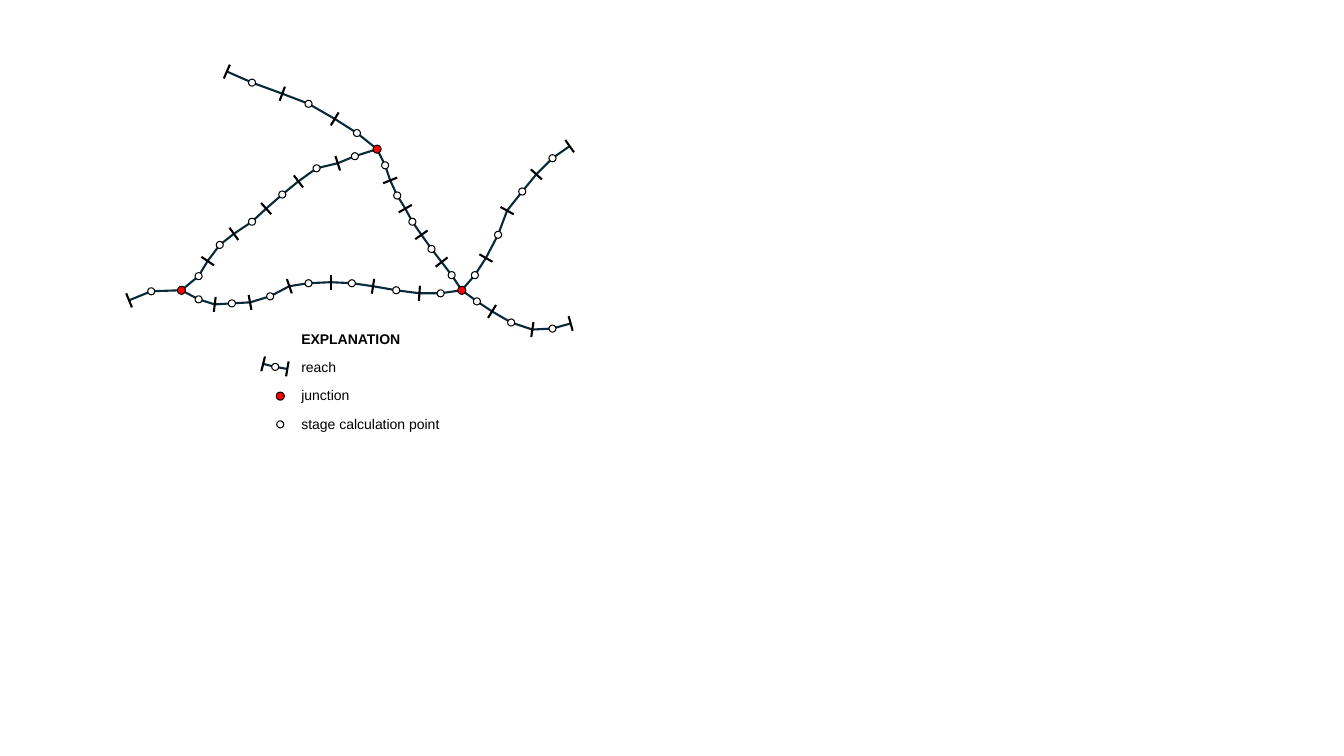
from math import hypot

from pptx import Presentation
from pptx.dml.color import RGBColor
from pptx.enum.shapes import MSO_CONNECTOR, MSO_SHAPE
from pptx.enum.text import MSO_AUTO_SIZE
from pptx.oxml.ns import qn
from pptx.util import Inches, Pt
from lxml.etree import SubElement

BLACK = RGBColor(0x00, 0x00, 0x00)
WHITE = RGBColor(0xFF, 0xFF, 0xFF)
RED = RGBColor(0xFF, 0x00, 0x00)
RIVER_BLUE = RGBColor(0x09, 0x2A, 0x39)

# Every place and size below counts columns and rows of this grid.
GRID = Inches(0.01)
TICK_LENGTH = 15
JUNCTION_SIZE, POINT_SIZE = 8, 7

# Legend rows are equally spaced; each symbol is centred on its row.
LEGEND_LEFT, LEGEND_TOP, ROW_HEIGHT = 289, 323, 28
LEGEND_WIDTHS = {"EXPLANATION": 121, "reach": 55, "junction": 68,
                 "stage calculation point": 158}
SYMBOL_X = 278
reach_y, junction_y, point_y = (
    LEGEND_TOP + ROW_HEIGHT * row + ROW_HEIGHT // 2 for row in (1, 2, 3))

WEST, NORTH, EAST = (180, 288), (374, 148), (458, 288)
JUNCTIONS = [WEST, NORTH, EAST]

# A river runs through its stations, which alternate:
# reach end, stage point, reach end, stage point, ..., reach end.
# Where a reach ends at a junction, the junction replaces the tick.
RIVERS = {
    "south": [
        (128, 298), (150, 289), WEST,
        (197, 297), (213, 302), (230, 301), (248, 300), (268, 294),
        (287, 284), (306, 281), (328, 280), (349, 281), (370, 284),
        (393, 288), (416, 291), (437, 291), EAST,
        (471, 273), (482, 256), (494, 233), (503, 209), (518, 190),
        (532, 173), (548, 157), (565, 145)],
    "north": [
        (225, 71), (250, 82), (280, 93), (306, 103), (332, 118),
        (354, 132), NORTH,
        (382, 164), (387, 179), (394, 194), (402, 207), (409, 220),
        (418, 233), (428, 247), (438, 260), (448, 273), EAST,
        (473, 299), (488, 309), (507, 320), (528, 327), (548, 326),
        (566, 321)],
    "diagonal": [
        WEST, (197, 274), (206, 259), (218, 243), (232, 232), (250, 220),
        (264, 207), (280, 193), (296, 180), (314, 167), (335, 162),
        (352, 155), NORTH],
    "legend sample": [
        (261, reach_y - 4), (273, reach_y - 1), (285, reach_y + 1)],
}

deck = Presentation()
deck.slide_width, deck.slide_height = Inches(13.33), Inches(7.5)
page = deck.slides.add_slide(deck.slide_layouts[6])
page.background.fill.solid()
page.background.fill.fore_color.rgb = WHITE


def set_line(shape, color, width):
    shape.line.color.rgb = color
    shape.line.width = Pt(width)


def add_dot(center, size, color):
    left, top = (int((place - size / 2) * GRID) for place in center)
    dot = page.shapes.add_shape(
        MSO_SHAPE.OVAL, left, top, size * GRID, size * GRID)
    dot.shadow.inherit = False
    dot.fill.solid()
    dot.fill.fore_color.rgb = color
    set_line(dot, BLACK, 0.75)


# River courses lie at the back.
for stations in RIVERS.values():
    builder = page.shapes.build_freeform(*stations[0], scale=GRID)
    builder.add_line_segments(stations[1:], close=False)
    river = builder.convert_to_shape()
    river.shadow.inherit = False
    river.fill.background()
    set_line(river, RIVER_BLUE, 1.5)

for stations in RIVERS.values():
    for index, (x, y) in enumerate(stations):
        if (x, y) in JUNCTIONS:
            continue
        if index % 2 == 1:
            add_dot((x, y), POINT_SIZE, WHITE)
            continue

        # The tick stands square to the line between the neighbour stations.
        before = stations[max(index - 1, 0)]
        after = stations[min(index + 1, len(stations) - 1)]
        run, rise = after[0] - before[0], after[1] - before[1]
        half = TICK_LENGTH / 2 / hypot(run, rise)
        across, down = -rise * half, run * half
        ends = (x - across, y - down, x + across, y + down)
        tick = page.shapes.add_connector(
            MSO_CONNECTOR.STRAIGHT, *(int(place * GRID) for place in ends))
        set_line(tick, BLACK, 1.5)
        SubElement(tick._element.spPr, qn("a:effectLst"))

for center in JUNCTIONS + [(SYMBOL_X, junction_y)]:
    add_dot(center, JUNCTION_SIZE, RED)
add_dot((SYMBOL_X, point_y), POINT_SIZE, WHITE)

for row, (text, width) in enumerate(LEGEND_WIDTHS.items()):
    box = page.shapes.add_textbox(
        LEGEND_LEFT * GRID, (LEGEND_TOP + ROW_HEIGHT * row) * GRID,
        width * GRID, 27 * GRID)
    box.text_frame.word_wrap = False
    box.text_frame.auto_size = MSO_AUTO_SIZE.SHAPE_TO_FIT_TEXT
    span = box.text_frame.paragraphs[0].add_run()
    span.text = text
    text_format = {"name": "Arial", "size": Pt(10), "bold": row == 0}
    for name, value in text_format.items():
        setattr(span.font, name, value)
    span.font.color.rgb = BLACK

deck.save("out.pptx")
